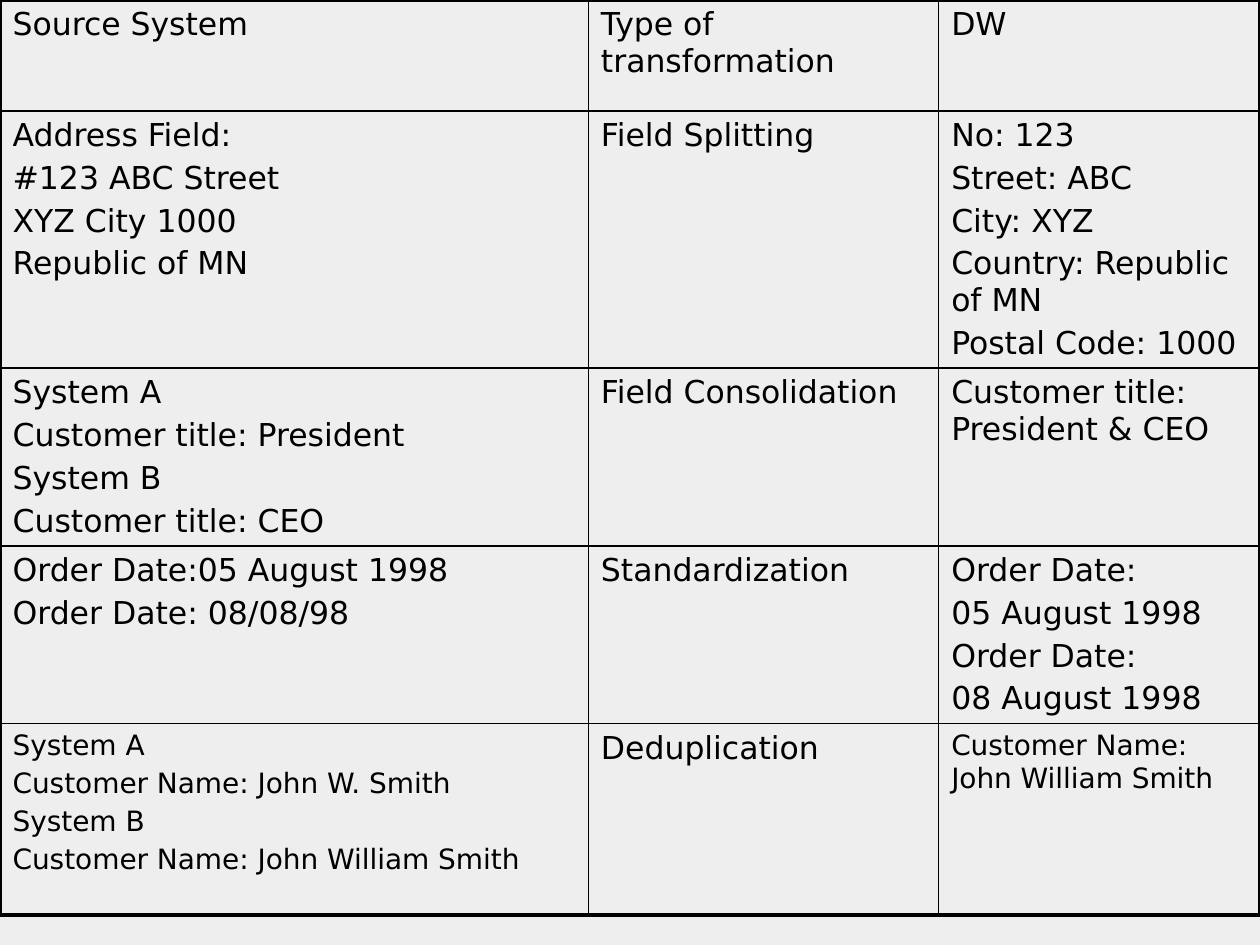
"""Build a slide with a table of data warehouse transformations."""
import dataclasses

import lxml.etree
import pptx
import pptx.dml.color
import pptx.oxml.ns
import pptx.util
from pptx.util import Inches


@dataclasses.dataclass(frozen=True)
class Theme:
    font: str = "DejaVu Sans"
    ink: str = "000000"
    background: str = "EEEEEE"
    body: int = 18
    small: int = 16
    spacing: float = 0.2
    outer_line: float = 2.25
    inner_line: float = 1


theme = Theme()


def write_lines(frame, text, size=theme.body, color=theme.ink, font=theme.font):
    for index, line in enumerate(text.split("\n")):
        para = frame.paragraphs[0] if index == 0 else frame.add_paragraph()
        if index:
            para.space_before = pptx.util.Pt(size * theme.spacing)
        span = para.add_run()
        span.text = line
        span.font.name = font
        span.font.size = pptx.util.Pt(size)
        span.font.color.rgb = pptx.dml.color.RGBColor.from_string(color)


def draw_border(cell, side, width):
    qn = pptx.oxml.ns.qn
    properties = cell._tc.get_or_add_tcPr()
    line = lxml.etree.SubElement(properties, qn(f"a:ln{side}"), w=str(pptx.util.Pt(width)))
    fill = lxml.etree.SubElement(line, qn("a:solidFill"))
    lxml.etree.SubElement(fill, qn("a:srgbClr"), val=theme.ink)


deck = pptx.Presentation()
deck.slide_width = Inches(10)
deck.slide_height = Inches(7.5)
page = deck.slides.add_slide(deck.slide_layouts[6])
page.background.fill.solid()
page.background.fill.fore_color.rgb = pptx.dml.color.RGBColor.from_string(theme.background)

column_widths = [4.67, 2.78, 2.55]
row_heights = [0.88, 2.04, 1.41, 1.41, 1.52]
transformations = [
    ["Source System", "Type of transformation", "DW"],
    [
        "Address Field:\n#123 ABC Street\nXYZ City 1000\nRepublic of MN",
        "Field Splitting",
        "No: 123\nStreet: ABC\nCity: XYZ\nCountry: Republic of MN\nPostal Code: 1000",
    ],
    [
        "System A\nCustomer title: President\nSystem B\nCustomer title: CEO",
        "Field Consolidation",
        "Customer title: President & CEO",
    ],
    [
        "Order Date:05 August 1998\nOrder Date: 08/08/98",
        "Standardization",
        "Order Date:\n05 August 1998\nOrder Date:\n08 August 1998",
    ],
    [
        "System A\nCustomer Name: John W. Smith\nSystem B\nCustomer Name: John William Smith",
        "Deduplication",
        "Customer Name: John William Smith",
    ],
]

last_row = len(row_heights) - 1
last_column = len(column_widths) - 1
table = page.shapes.add_table(
    len(row_heights), len(column_widths), 0, 0,
    Inches(sum(column_widths)), Inches(sum(row_heights)),
).table
table.first_row = False
table.horz_banding = False
for column, width in zip(table.columns, column_widths):
    column.width = Inches(width)
for row, height in zip(table.rows, row_heights):
    row.height = Inches(height)

for row_index, texts in enumerate(transformations):
    for column_index, text in enumerate(texts):
        cell = table.cell(row_index, column_index)
        is_small = row_index == last_row and column_index != 1
        write_lines(cell.text_frame, text, size=theme.small if is_small else theme.body)
        outer_sides = {
            "L": column_index == 0,
            "R": column_index == last_column,
            "T": row_index == 0,
            "B": row_index == last_row,
        }
        for side, is_outer in outer_sides.items():
            draw_border(cell, side, theme.outer_line if is_outer else theme.inner_line)
        cell.fill.background()

deck.save("out.pptx")
